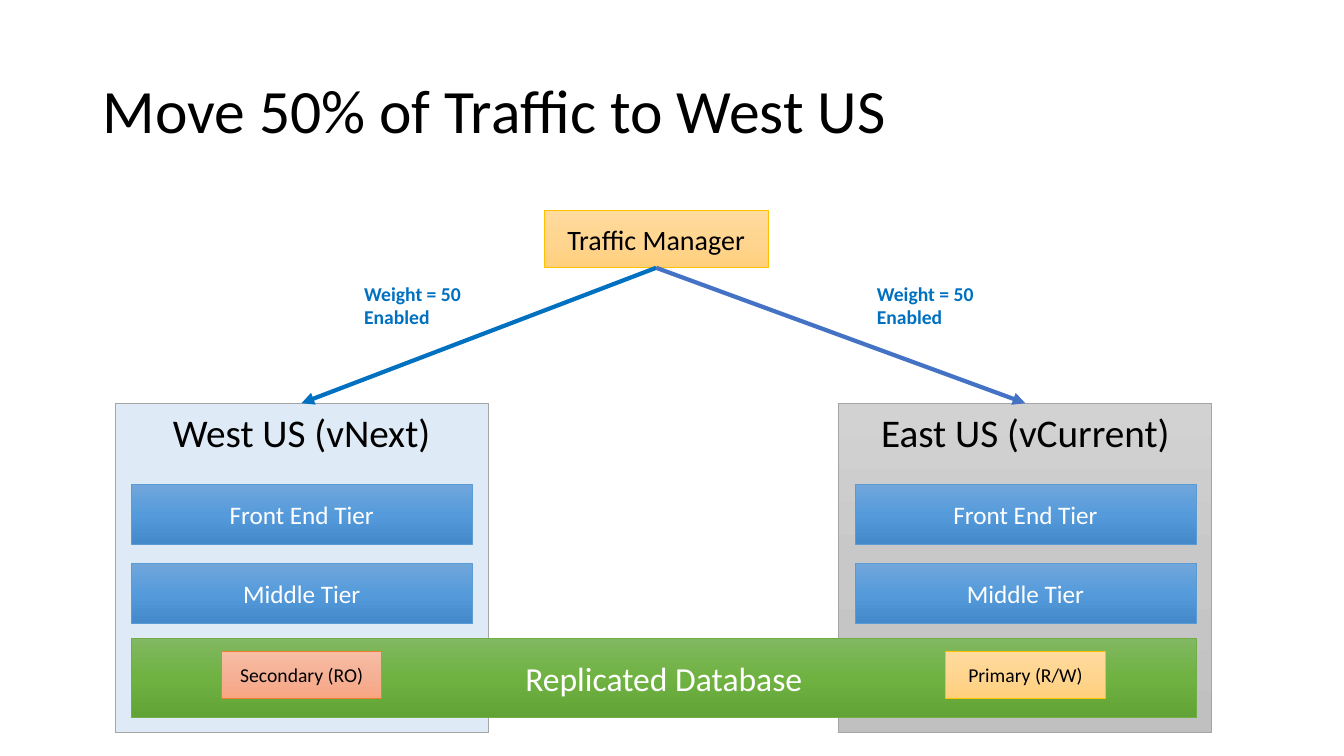
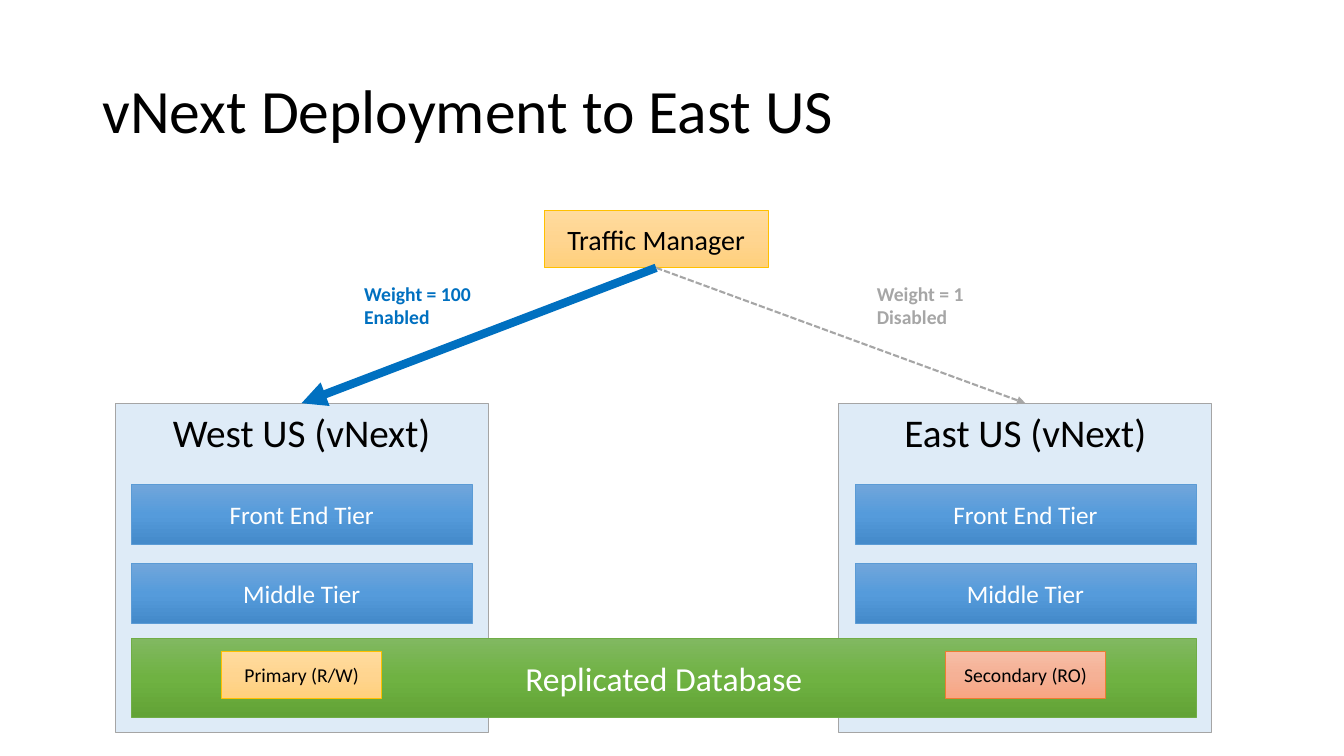
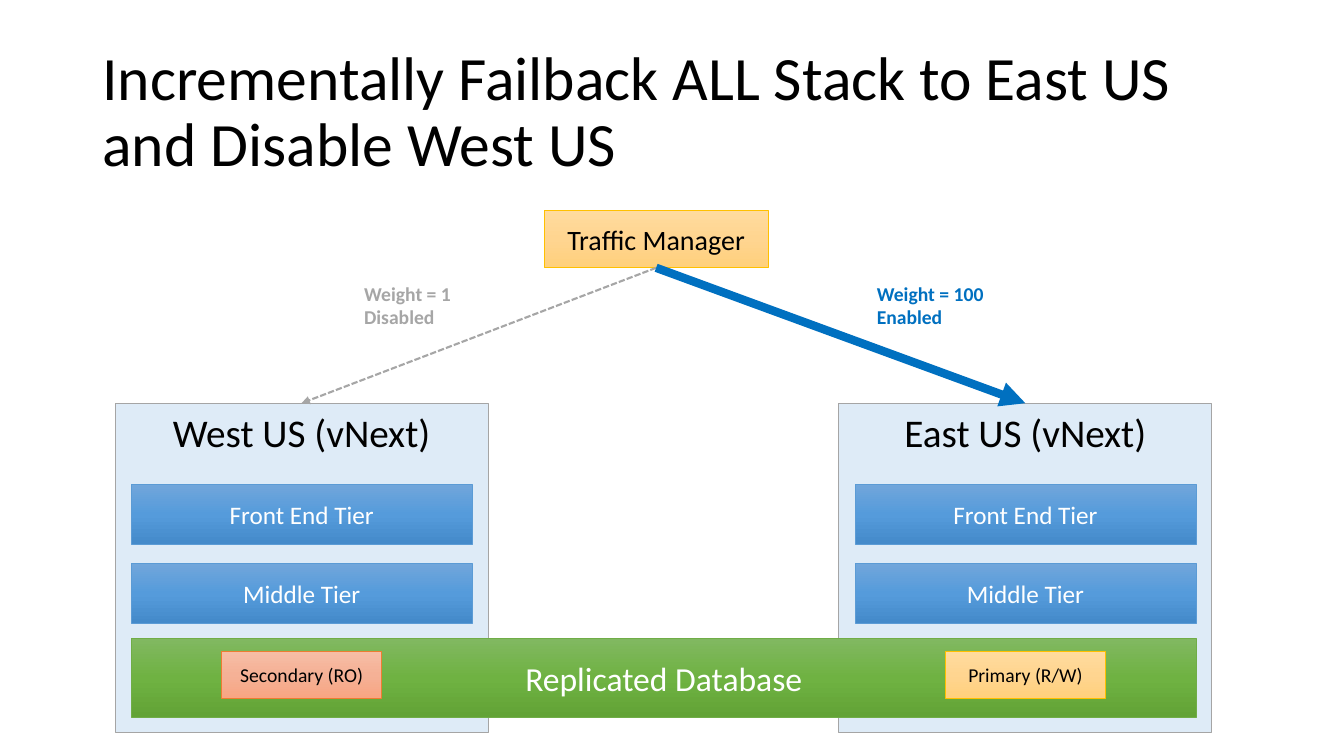
from copy import deepcopy

from pptx import Presentation
from pptx.dml.color import RGBColor
from pptx.enum.dml import MSO_LINE
from pptx.enum.shapes import MSO_CONNECTOR, MSO_SHAPE
from pptx.enum.text import MSO_ANCHOR, MSO_AUTO_SIZE, PP_ALIGN
from pptx.oxml.ns import qn
from pptx.util import Pt
from lxml.etree import SubElement

FONT = "Calibri"
COLORS = {
    "black": "000000",
    "white": "FFFFFF",
    "active": "0070C0",
    "steady": "4472C4",
    "idle": "A6A6A6",
}
FILLS = {
    "next": ["DEEBF7"],
    "current": ["D2D2D2", "C8C8C8", "C0C0C0"],
    "tier": ["71A6DB", "559BDB", "448ACA"],
    "database": ["81B861", "6FB242", "62A336"],
    "gold": ["FFDB9E", "FFD590", "FFD07C"],
    "salmon": ["F7BDA5", "F5B196", "F8A582"],
}
LINES = {
    "next": "A5A5A5",
    "current": "A5A5A5",
    "tier": "5B9BD5",
    "database": "70AD47",
    "gold": "FFC000",
    "salmon": "ED7D31",
}
WEST, EAST = 0, 517
PRIMARY = ("Primary (R/W)", "gold")
SECONDARY = ("Secondary (RO)", "salmon")
HALF = ("Weight = 50\nEnabled", "active", "active", 3)
HALF_EAST = ("Weight = 50\nEnabled", "active", "steady", 3)
FULL = ("Weight = 100\nEnabled", "active", "active", 6)
OFF = ("Weight = 1\nDisabled", "idle", "idle", 1.5)
WEST_NEXT = ("West US (vNext)", "next")
EAST_NEXT = ("East US (vNext)", "next")
EAST_CURRENT = ("East US (vCurrent)", "current")
SLIDES = [
    ("Move 50% of Traffic to West US",
     (WEST_NEXT, SECONDARY, HALF), (EAST_CURRENT, PRIMARY, HALF_EAST)),
    ("vNext Deployment to East US",
     (WEST_NEXT, PRIMARY, FULL), (EAST_NEXT, SECONDARY, OFF)),
    ("Incrementally Failback ALL Stack to East US and Disable West US",
     (WEST_NEXT, SECONDARY, OFF), (EAST_NEXT, PRIMARY, FULL)),
]


def write(tf, text, size=18, color="black", bold=False,
          align=PP_ALIGN.CENTER, anchor=MSO_ANCHOR.MIDDLE, spacing=None):
    tf.vertical_anchor = anchor
    for i, line in enumerate(text.split("\n")):
        p = tf.add_paragraph() if i else tf.paragraphs[0]
        p.alignment = align
        p.line_spacing = spacing
        r = p.add_run()
        r.text = line
        r.font.name = FONT
        r.font.size = Pt(size)
        r.font.bold = bold
        r.font.color.rgb = RGBColor.from_string(COLORS[color])


class Deck:
    """Holds the deck style and the slide being drawn."""

    def __init__(self):
        self.prs = Presentation()
        self.prs.slide_width, self.prs.slide_height = Pt(960), Pt(540)

    def slide(self, title):
        self.s = self.prs.slides.add_slide(self.prs.slide_layouts[5])
        sp = self.s.shapes.title
        sp.left, sp.top, sp.width, sp.height = Pt(66), Pt(28.75), Pt(828), Pt(104.4)
        sp.text_frame.auto_size = MSO_AUTO_SIZE.NONE
        sp.text_frame.word_wrap = True
        write(sp.text_frame, title, size=44, align=PP_ALIGN.LEFT, spacing=0.9)

    def box(self, x, y, w, h, text, style, **fmt):
        sp = self.s.shapes.add_shape(MSO_SHAPE.RECTANGLE, Pt(x), Pt(y), Pt(w), Pt(h))
        sp.shadow.inherit = False
        self.fill(sp, FILLS[style])
        sp.line.color.rgb = RGBColor.from_string(LINES[style])
        sp.line.width = Pt(0.5)
        write(sp.text_frame, text, **fmt)
        return sp

    def fill(self, sp, colors):
        if len(colors) == 1:
            sp.fill.solid()
            sp.fill.fore_color.rgb = RGBColor.from_string(colors[0])
            return
        sp.fill.gradient()
        sp.fill.gradient_angle = 270
        stops = sp._element.spPr.find(".//" + qn("a:gsLst"))
        stops.insert(1, deepcopy(stops[0]))
        for i, (stop, color) in enumerate(zip(sp.fill.gradient_stops, colors)):
            stop.position = i / 2
            stop.color.rgb = RGBColor.from_string(color)

    def arrow(self, start, end, color, width):
        c = self.s.shapes.add_connector(MSO_CONNECTOR.STRAIGHT, 0, 0, 0, 0)
        c.begin_connect(start, 2)
        c.end_connect(end, 0)
        c.line.color.rgb = RGBColor.from_string(COLORS[color])
        c.line.width = Pt(width)
        if color == "idle":
            c.line.dash_style = MSO_LINE.SQUARE_DOT
        sp_pr = c._element.spPr
        SubElement(sp_pr.find(qn("a:ln")), qn("a:tailEnd"), type="triangle")
        SubElement(sp_pr, qn("a:effectLst"))

    def label(self, x, y, text, color):
        width = 5 + 7.2 * len(text.split("\n")[0])
        tf = self.s.shapes.add_textbox(Pt(x), Pt(y), Pt(width), Pt(41)).text_frame
        tf.word_wrap = False
        tf.auto_size = MSO_AUTO_SIZE.SHAPE_TO_FIT_TEXT
        write(tf, text, size=14, color=color, bold=True,
              align=PP_ALIGN.LEFT, anchor=MSO_ANCHOR.TOP)

    def region(self, dx, name, style):
        panel = self.box(82.2 + dx, 288, 266.4, 235, name, style,
                         size=28, anchor=MSO_ANCHOR.TOP)
        for y, tier in ((346, "Front End Tier"), (402.5, "Middle Tier")):
            self.box(93.8 + dx, y, 243.5, 42.7, tier, "tier", color="white")
        return panel


def main():
    deck = Deck()
    for title, west, east in SLIDES:
        deck.slide(title)
        sides = ((WEST, 253, west), (EAST, 619.2, east))
        panels = [deck.region(dx, *region) for dx, _, (region, _, _) in sides]
        deck.box(93.8, 456, 760.7, 56.3, "Replicated Database", "database",
                 size=24, color="white")
        manager = deck.box(388.7, 150.3, 160, 41, "Traffic Manager", "gold", size=20)
        for panel, (dx, label_x, (_, replica, route)) in zip(panels, sides):
            weight, label_color, line_color, width = route
            deck.box(158.3 + dx, 465.6, 114.5, 33.3, *replica, size=14)
            deck.arrow(manager, panel, line_color, width)
            deck.label(label_x, 197.6, weight, label_color)
    deck.prs.save("out.pptx")


if __name__ == "__main__":
    main()
